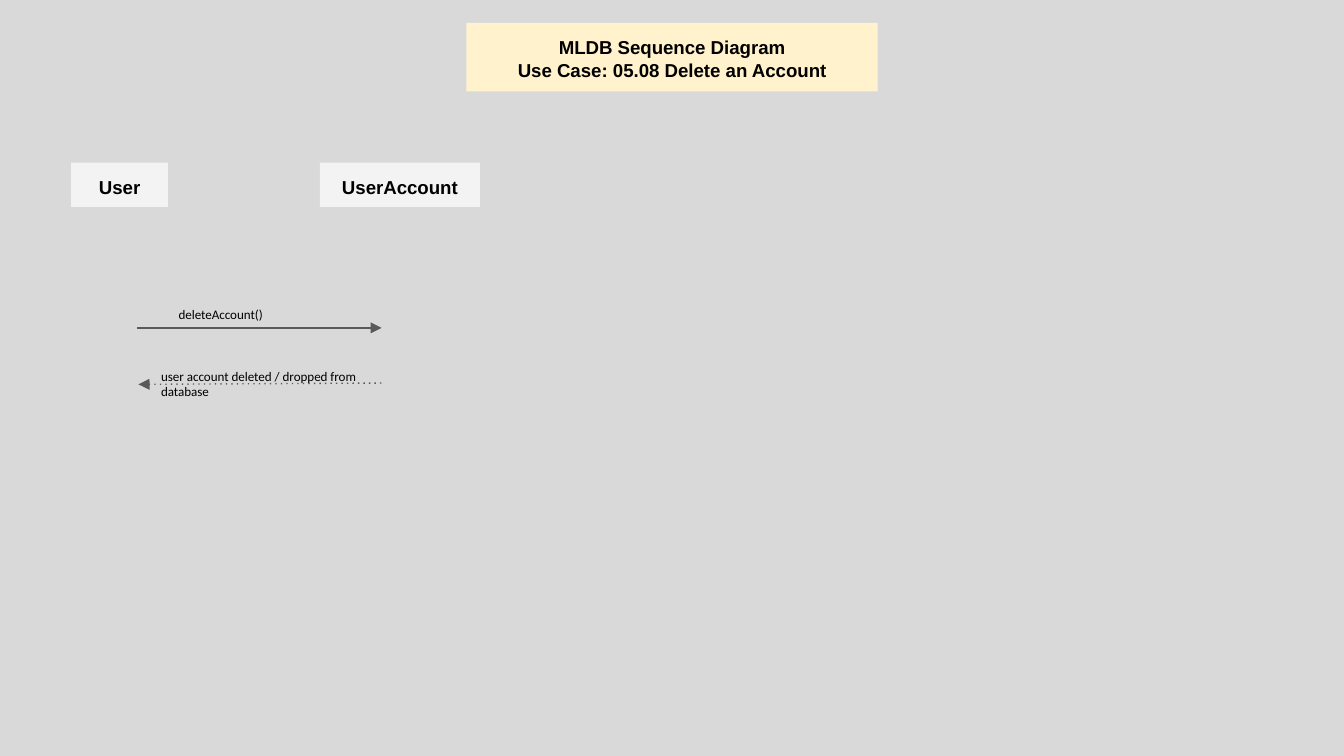
from lxml import etree
from pptx import Presentation
from pptx.dml.color import RGBColor
from pptx.enum.shapes import MSO_CONNECTOR, MSO_SHAPE
from pptx.enum.text import MSO_ANCHOR, PP_ALIGN
from pptx.oxml.ns import qn
from pptx.util import Inches, Pt

RECT = MSO_SHAPE.RECTANGLE
LINE = MSO_CONNECTOR.STRAIGHT
TOP = MSO_ANCHOR.TOP
LEFT, CENTER = PP_ALIGN.LEFT, PP_ALIGN.CENTER
COLORS = {"back": "D9D9D9", "actor": "F3F3F3", "title": "FFF2CC",
          "line": "595959", "text": "000000"}


def color(name):
    return RGBColor.from_string(COLORS[name])


def write(shape, lines, font, size, bold, align):
    frame = shape.text_frame
    frame.word_wrap = True
    frame.vertical_anchor = TOP
    frame.margin_left = frame.margin_right = Inches(0.1)
    frame.margin_top = frame.margin_bottom = Inches(0.1)
    frame.text = "\n".join(lines)
    for para in frame.paragraphs:
        para.alignment = align
        para.font.name = font
        para.font.size = Pt(size)
        para.font.bold = bold
        para.font.color.rgb = color("text")


deck = Presentation()
deck.slide_width = Inches(10)
deck.slide_height = Inches(10 * 9 / 16)
slide = deck.slides.add_slide(deck.slide_layouts[6])
slide.background.fill.solid()
slide.background.fill.fore_color.rgb = color("back")

boxes = [
    (0.53, 1.21, 0.72, 0.33, "actor", ["User"]),
    (2.38, 1.21, 1.19, 0.33, "actor", ["UserAccount"]),
    (3.47, 0.17, 3.06, 0.51, "title",
     ["MLDB Sequence Diagram", "Use Case: 05.08 Delete an Account"]),
]
for x, y, w, h, fill, lines in boxes:
    box = slide.shapes.add_shape(RECT, Inches(x), Inches(y), Inches(w), Inches(h))
    box.shadow.inherit = False
    box.fill.solid()
    box.fill.fore_color.rgb = color(fill)
    box.line.fill.background()
    write(box, lines, "Arial", 10, True, CENTER)

calls = [
    ((1.02, 2.44, 2.84, 2.44), "solid", "a:tailEnd",
     (1.23, 2.22, 1.41, 0.21), "deleteAccount()"),
    ((1.03, 2.86, 2.85, 2.85), "dot", "a:headEnd",
     (1.1, 2.64, 1.66, 0.4), "user account deleted / dropped from database"),
]
for ends, dash, tip, place, text in calls:
    arrow = slide.shapes.add_connector(LINE, *[Inches(v) for v in ends])
    arrow.line.color.rgb = color("line")
    arrow.line.width = Pt(0.75)
    stroke = arrow.line._get_or_add_ln()
    etree.SubElement(stroke, qn("a:prstDash"), val=dash)
    etree.SubElement(stroke, qn(tip), type="triangle")
    etree.SubElement(arrow._element.spPr, qn("a:effectLst"))
    label = slide.shapes.add_textbox(*[Inches(v) for v in place])
    write(label, [text], "Calibri", 7, False, LEFT)

deck.save("out.pptx")
